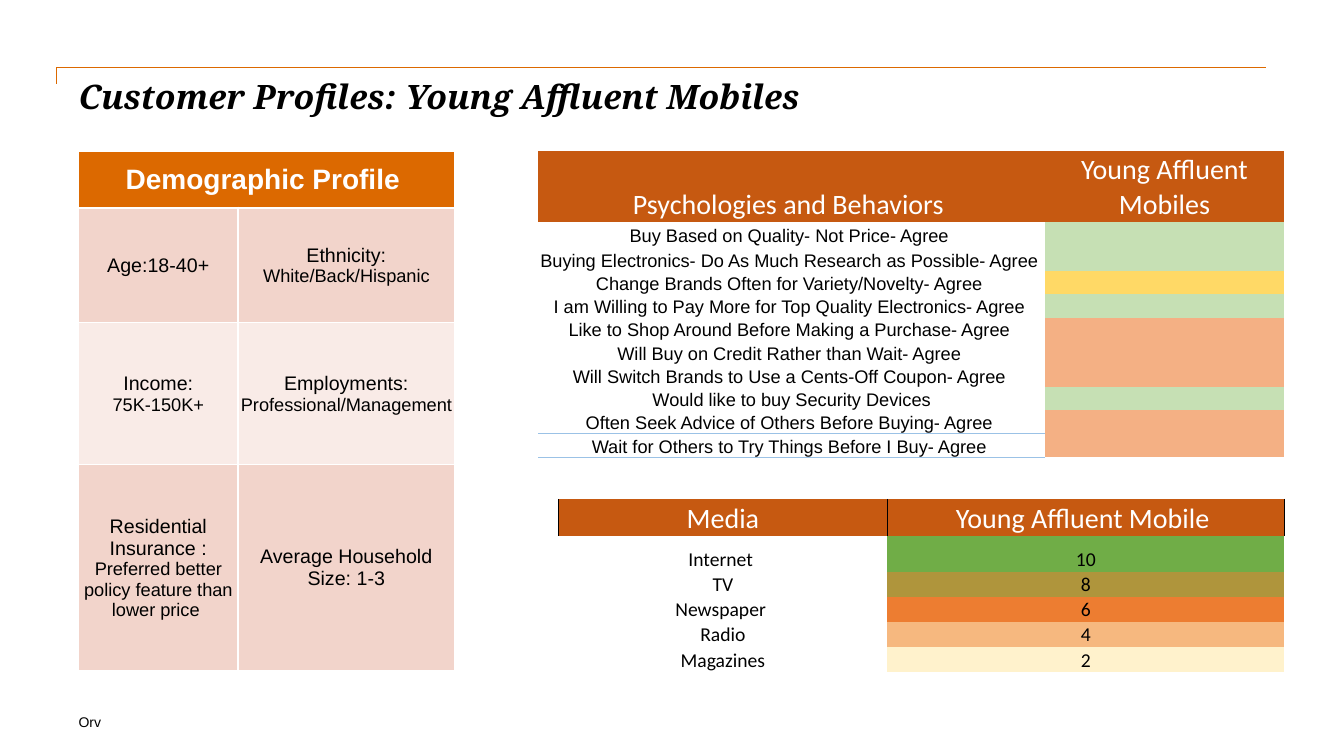
from lxml.etree import SubElement
from pptx import Presentation
from pptx.dml.color import RGBColor
from pptx.enum.text import MSO_ANCHOR, MSO_AUTO_SIZE, PP_ALIGN
from pptx.oxml.ns import qn
from pptx.util import Pt

SCALE = 9144
PLAIN = "{2D5ABB26-0587-4C30-8999-92F81FD0307C}"
BLACK, WHITE = "000000", "FFFFFF"
ORANGE, RUST, BLUE = "DC6900", "C65911", "9BC2E6"
ROSE, BLUSH = "F2D4CB", "F9EBE7"
GREEN, GOLD, PEACH = "C6E0B4", "FFD966", "F4B084"

HABITS = [
    ("Buy Based on Quality- Not Price- Agree ", GREEN),
    ("Buying Electronics- Do As Much Research as Possible- Agree ", GREEN),
    ("Change Brands Often for Variety/Novelty- Agree ", GOLD),
    ("I am Willing to Pay More for Top Quality Electronics- Agree ", GREEN),
    ("Like to Shop Around Before Making a Purchase- Agree ", PEACH),
    ("Will Buy on Credit Rather than Wait- Agree ", PEACH),
    ("Will Switch Brands to Use a Cents-Off Coupon- Agree ", PEACH),
    ("Would like to buy Security Devices", GREEN),
    ("Often Seek Advice of Others Before Buying- Agree ", PEACH),
    ("Wait for Others to Try Things Before I Buy- Agree ", PEACH),
]
MEDIA = [
    ("Internet ", "10", "70AD47"),
    ("TV", "8", "AF953C"),
    ("Newspaper ", "6", "ED7D31"),
    ("Radio", "4", "F6B87F"),
    ("Magazines", "2", "FFF2CC"),
]
PEOPLE = [
    (ROSE, ("Age:18-40+", ""), ("Ethnicity: ", "White/Back/Hispanic")),
    (BLUSH, ("Income: ", "75K-150K+"), ("Employments: ", "Professional/Management")),
    (ROSE, ("Residential Insurance : ", "Preferred better policy feature than lower price "),
     ("Average Household Size: 1-3", "")),
]


def px(count):
    return count * SCALE


def paint(code):
    return RGBColor.from_string(code)


def write(par, text, size=13, face="Arial", color=BLACK, bold=False, slant=False):
    run = par.add_run()
    run.text = text
    font = run.font
    font.size, font.name = Pt(size), face
    font.bold, font.italic = bold, slant
    font.color.rgb = paint(color)


def place(shape, left, top, width, height):
    shape.left, shape.top = px(left), px(top)
    shape.width, shape.height = px(width), px(height)


def clear(frame):
    frame.word_wrap = True
    frame.auto_size = MSO_AUTO_SIZE.NONE
    frame.vertical_anchor = MSO_ANCHOR.TOP
    frame.margin_left = frame.margin_right = frame.margin_top = frame.margin_bottom = 0
    par = frame.paragraphs[0]
    par.alignment = PP_ALIGN.LEFT
    return par


def add_grid(slide, left, top, cols, rows):
    frame = slide.shapes.add_table(len(rows), len(cols), px(left), px(top), px(sum(cols)), px(sum(rows)))
    table = frame.table
    table.first_row = table.horz_banding = False
    table._tbl.tblPr.find(qn("a:tableStyleId")).text = PLAIN
    for col, width in zip(table.columns, cols):
        col.width = px(width)
    for row, height in zip(table.rows, rows):
        row.height = px(height)
    return table


def edge(cell, sides, color, weight):
    for side in sides:
        line = SubElement(cell._tc.get_or_add_tcPr(), qn("a:ln" + side), w=str(Pt(weight)))
        SubElement(SubElement(line, qn("a:solidFill")), qn("a:srgbClr"), val=color)


def fill_cell(cell, parts=(), fill=None, anchor=MSO_ANCHOR.BOTTOM, **look):
    cell.margin_left = cell.margin_right = cell.margin_top = px(1)
    cell.margin_bottom = 0
    cell.vertical_anchor = anchor
    par = cell.text_frame.paragraphs[0]
    par.alignment = PP_ALIGN.CENTER
    for text, size in parts:
        if text:
            write(par, text, size=size, **look)
    if not parts:
        SubElement(par._p, qn("a:endParaRPr"), sz="1300")
    if fill:
        cell.fill.solid()
        cell.fill.fore_color.rgb = paint(fill)
    else:
        cell.fill.background()


def add_head(table, *names):
    for col, name in enumerate(names):
        fill_cell(table.cell(0, col), [(name, 20)], RUST, face="Calibri", color=WHITE)


def add_frame(slide):
    pen = slide.shapes.build_freeform(px(56), px(83))
    pen.add_line_segments([(px(56), px(67)), (px(1256), px(67))], close=False)
    rule = pen.convert_to_shape()
    rule.shadow.inherit = False
    rule.fill.background()
    rule.line.color.rgb = paint(ORANGE)
    rule.line.width = Pt(1)
    title = slide.shapes.title
    place(title, 78, 75, 1178, 100)
    write(clear(title.text_frame), "Customer Profiles: Young Affluent Mobiles",
          size=24, face="Noto Serif", bold=True, slant=True)
    foot = slide.shapes.add_textbox(px(78), px(708), px(378), px(17))
    write(clear(foot.text_frame), "Orv", size=10)


def add_people(slide):
    table = add_grid(slide, 78, 150, [158, 215], [56, 114, 141, 204])
    head = table.cell(0, 0)
    head.merge(table.cell(0, 1))
    edge(head, "LRT", WHITE, 1)
    edge(head, "B", WHITE, 1.5)
    fill_cell(head, [("Demographic Profile ", 20)], ORANGE, MSO_ANCHOR.MIDDLE, color=WHITE, bold=True)
    for row, (fill, *facts) in enumerate(PEOPLE, 1):
        for col, (label, detail) in enumerate(facts):
            cell = table.cell(row, col)
            edge(cell, "LR", WHITE, 1)
            edge(cell, "T", WHITE, 1.5 if row == 1 else 1)
            edge(cell, "B", WHITE, 1)
            fill_cell(cell, [(label, 14), (detail, 13)], fill, MSO_ANCHOR.MIDDLE)


def add_habits(slide):
    table = add_grid(slide, 534, 150, [502, 238], [70, 24, 25] + [21] * 8)
    add_head(table, "Psychologies and Behaviors ", "Young Affluent Mobiles")
    sides = {9: "B", 10: "TB"}
    for row, (text, fill) in enumerate(HABITS, 1):
        cell = table.cell(row, 0)
        edge(cell, sides.get(row, ""), BLUE, 0.5)
        fill_cell(cell, [(text, 13)], WHITE)
        fill_cell(table.cell(row, 1), fill=fill)


def add_media(slide):
    table = add_grid(slide, 554, 495, [326, 394], [37, 35] + [25] * 4)
    for col in range(2):
        edge(table.cell(0, col), "LR", BLACK, 0.5)
    add_head(table, "Media", "Young Affluent Mobile ")
    for row, (name, score, fill) in enumerate(MEDIA, 1):
        fill_cell(table.cell(row, 0), [(name, 14)], face="Calibri")
        fill_cell(table.cell(row, 1), [(score, 14)], fill, face="Calibri")


def main():
    deck = Presentation()
    deck.slide_width, deck.slide_height = px(1333), px(750)
    slide = deck.slides.add_slide(deck.slide_layouts[5])
    add_frame(slide)
    add_media(slide)
    add_people(slide)
    add_habits(slide)
    deck.save("out.pptx")


if __name__ == "__main__":
    main()
